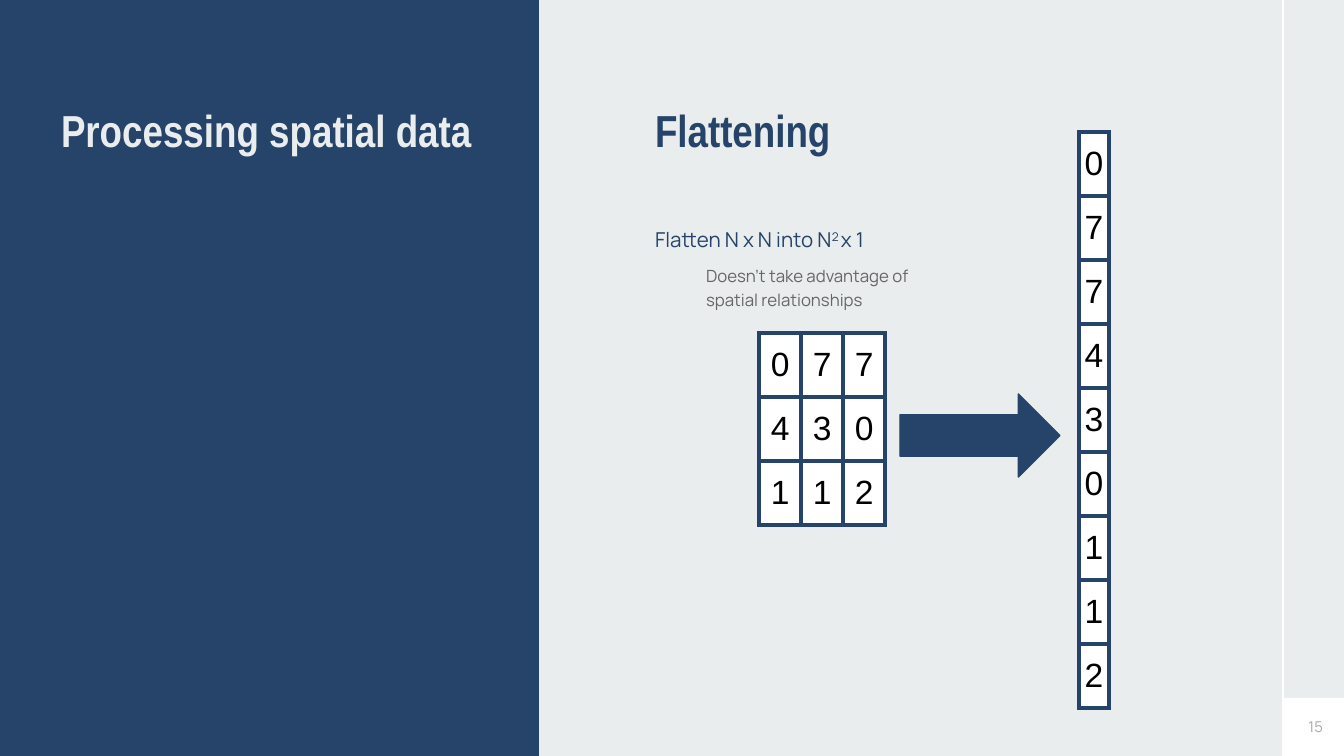
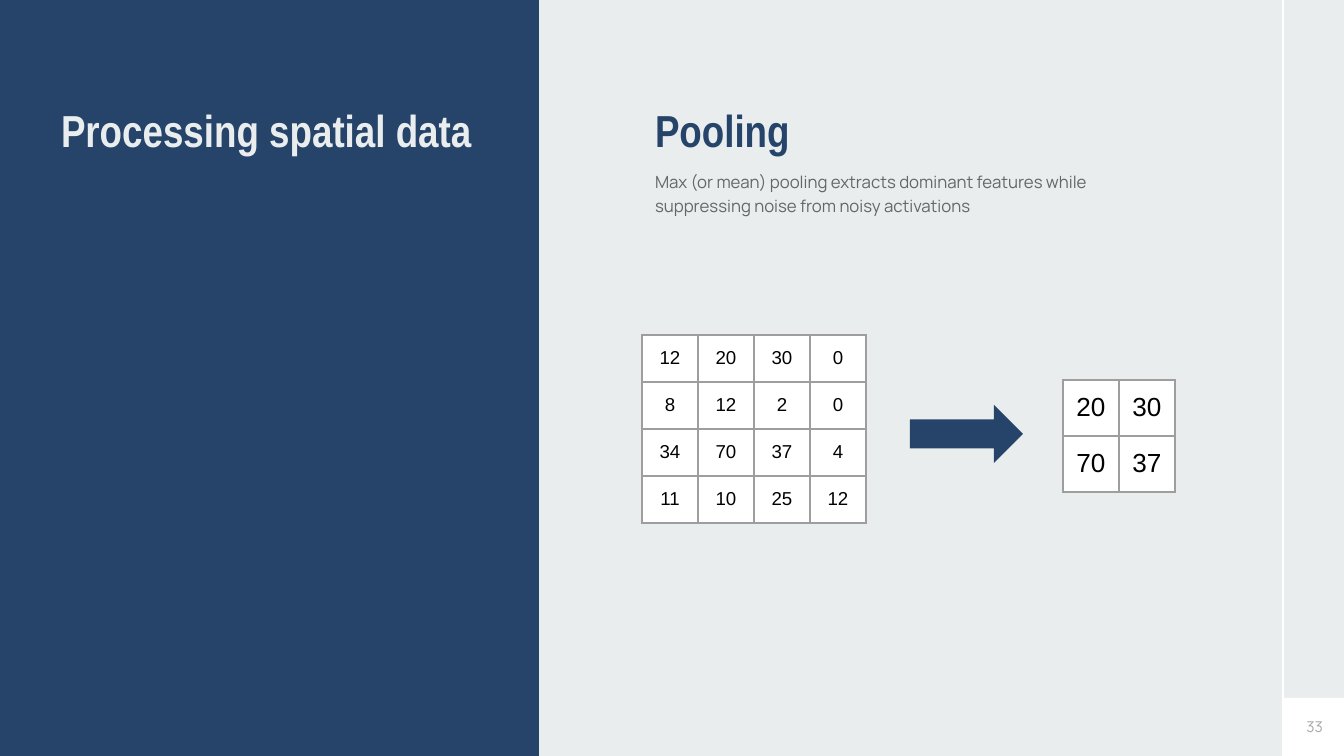
"""Build two slides on processing spatial data: flattening and pooling."""
import pptx
import pptx.dml.color
import pptx.enum.shapes
import pptx.enum.text
import pptx.oxml
import pptx.oxml.ns
import pptx.util
from lxml import etree

NAVY, PALE, WHITE, BLACK = "264369", "E9EDEE", "FFFFFF", "000000"
GREY, NUMBER_GREY, GRID_GREY = "666666", "A8A8A8", "9E9E9E"
WIDTH, HEIGHT = 1344, 756
EMU_PER_PX = 914400 / 134.4
INSET = 13
SUPERSCRIPT = "30000"
RECTANGLE = pptx.enum.shapes.MSO_SHAPE.RECTANGLE
ARROW = pptx.enum.shapes.MSO_SHAPE.RIGHT_ARROW
ALIGN = pptx.enum.text.PP_ALIGN
ANCHOR = pptx.enum.text.MSO_ANCHOR

TITLE = {"font": {"name": "Arial Narrow", "size": 24, "bold": True, "color": NAVY}, "spacing": {}}
SECTION = {"font": {**TITLE["font"], "color": PALE}, "spacing": {}}
BODY = {
    "font": {"name": "Manrope", "size": 9, "bold": False, "color": GREY},
    "spacing": {"line_spacing": 1.15, "space_after": pptx.util.Pt(16)},
}
LEAD = {"font": {**BODY["font"], "size": 11, "color": NAVY}, "spacing": BODY["spacing"]}
NUMBER = {
    "font": {"name": "Manrope", "size": 8, "color": NUMBER_GREY},
    "spacing": {"alignment": ALIGN.RIGHT},
}

SECTION_TEXT = ("Processing spatial data", (48, 90, 472, 540), SECTION)
HEADING_PLACE = (642, 90, 582, 83)
NUMBER_PLACE = (1255, 698, 81, 58)

MATRIX = [[0, 7, 7], [4, 3, 0], [1, 1, 2]]
ACTIVATIONS = [[12, 20, 30, 0], [8, 12, 2, 0], [34, 70, 37, 4], [11, 10, 25, 12]]
NAVY_GRID = {"size": 18, "border": NAVY, "weight": 2.25, "row": 64}
GREY_GRID = {"border": GRID_GREY, "weight": 0.75, "column": 56, "inset": INSET}


def flatten(rows):
    return [[value] for row in rows for value in row]


def max_pool(rows, step=2):
    return [
        [
            max(value for row in rows[top:top + step] for value in row[left:left + step])
            for left in range(0, len(rows[0]), step)
        ]
        for top in range(0, len(rows), step)
    ]


PAGES = [
    {
        "number": "15",
        "texts": [
            ("Flattening", HEADING_PLACE, TITLE),
            ([("Flatten N x N into N", None), ("2 ", SUPERSCRIPT), ("x 1", None)],
             (642, 210, 349, 50), LEAD),
            ("Doesn’t take advantage of spatial relationships", (693, 250, 255, 108), BODY),
        ],
        "grids": [
            (MATRIX, (759, 333), {**NAVY_GRID, "column": 42, "inset": 12}),
            (flatten(MATRIX), (1079, 132), {**NAVY_GRID, "column": 30, "inset": 0}),
        ],
        "arrow": ((900, 394, 160, 83), NAVY),
    },
    {
        "number": "33",
        "texts": [
            ("Pooling", HEADING_PLACE, TITLE),
            ("Max (or mean) pooling extracts dominant features while suppressing noise "
             "from noisy activations", (642, 156, 534, 74), BODY),
        ],
        "grids": [
            (ACTIVATIONS, (642, 335), {**GREY_GRID, "size": 10, "row": 47}),
            (max_pool(ACTIVATIONS), (1063, 380), {**GREY_GRID, "size": 14, "row": 56}),
        ],
        "arrow": ((910, 405, 113, 58), None),
    },
]


def px(*lengths):
    return [pptx.util.Emu(round(length * EMU_PER_PX)) for length in lengths]


def color(value):
    return pptx.dml.color.RGBColor.from_string(value)


def set_all(target, values):
    for name, value in values.items():
        setattr(target, name, value)


def format_font(font, style):
    set_all(font, {key: value for key, value in style.items() if key not in ("size", "color")})
    font.size = pptx.util.Pt(style["size"])
    font.color.rgb = color(style["color"])


def write(box, content, place, style, anchor=ANCHOR.TOP):
    set_all(box, dict(zip(("left", "top", "width", "height"), px(*place))))
    frame = box.text_frame
    set_all(frame, {"word_wrap": True, "auto_size": pptx.enum.text.MSO_AUTO_SIZE.NONE,
                    "vertical_anchor": anchor})
    for side in ("left", "top", "right", "bottom"):
        setattr(frame, f"margin_{side}", px(INSET)[0])
    para = frame.paragraphs[0]
    set_all(para, {"alignment": ALIGN.LEFT, "space_before": pptx.util.Pt(0), **style["spacing"]})
    properties = para._p.get_or_add_pPr()
    properties.set("marL", "0")
    properties.set("indent", "0")
    etree.SubElement(properties, pptx.oxml.ns.qn("a:buNone"))
    spans = [(content, None)] if isinstance(content, str) else content
    for text, baseline in spans:
        span = para.add_run()
        span.text = text
        format_font(span.font, style["font"])
        if baseline:
            span._r.get_or_add_rPr().set("baseline", baseline)


def add_block(page, kind, place, fill, line=None):
    block = page.shapes.add_shape(kind, *px(*place))
    block.shadow.inherit = False
    block.fill.solid()
    block.fill.fore_color.rgb = color(fill)
    if line:
        block.line.color.rgb = color(line)
        block.line.width = pptx.util.Pt(0.75)
    else:
        block.line.fill.background()
    return block


def add_border(cell, border, weight):
    properties = cell._tc.get_or_add_tcPr()
    for side in "LRTB":
        properties.append(pptx.oxml.parse_xml(
            f'<a:ln{side} {pptx.oxml.ns.nsdecls("a")} w="{pptx.util.Pt(weight)}">'
            f'<a:solidFill><a:srgbClr val="{border}"/></a:solidFill></a:ln{side}>'))


def add_grid(page, rows, corner, look):
    size = (look["column"] * len(rows[0]), look["row"] * len(rows))
    table = page.shapes.add_table(len(rows), len(rows[0]), *px(*corner, *size)).table
    set_all(table, {"first_row": False, "horz_banding": False})
    for column in table.columns:
        column.width = px(look["column"])[0]
    for row, values in zip(table.rows, rows):
        row.height = px(look["row"])[0]
        for cell, value in zip(row.cells, values):
            left, top = px(look["inset"], INSET)
            set_all(cell, {"text": str(value), "margin_left": left, "margin_right": left,
                           "margin_top": top, "margin_bottom": top})
            add_border(cell, look["border"], look["weight"])
            cell.fill.solid()
            cell.fill.fore_color.rgb = color(WHITE)
            para = cell.text_frame.paragraphs[0]
            para.alignment = ALIGN.CENTER
            format_font(para.runs[0].font,
                        {"name": "Arial", "size": look["size"], "color": BLACK})


def add_master_frame(deck, page):
    master = deck.slide_master
    master.background.fill.solid()
    master.background.fill.fore_color.rgb = color(PALE)
    band = add_block(page, RECTANGLE, (-7, -4, 546, 771), NAVY)
    corner = add_block(page, RECTANGLE, (1283, 698, 61, 58), WHITE)
    rule = page.shapes.add_connector(
        pptx.enum.shapes.MSO_CONNECTOR.STRAIGHT, *px(1283, HEIGHT, 1283, 0))
    rule.line.color.rgb = color(WHITE)
    rule.line.width = pptx.util.Pt(0.75)
    etree.SubElement(rule._element.spPr, pptx.oxml.ns.qn("a:effectLst"))
    for part in (band, corner, rule):
        master.shapes.element.append(part.element)


def add_page(deck, content):
    page = deck.slides.add_slide(deck.slide_layouts.get_by_name("Comparison"))
    boxes = list(page.placeholders)
    texts = [SECTION_TEXT, *content["texts"]]
    for box, text in zip(boxes, texts):
        write(box, *text)
    for box in boxes[len(texts):]:
        box.element.getparent().remove(box.element)
    number_box = page.shapes.add_textbox(*px(*NUMBER_PLACE))
    write(number_box, content["number"], NUMBER_PLACE, NUMBER, ANCHOR.MIDDLE)
    for grid in content["grids"]:
        add_grid(page, *grid)
    place, line = content["arrow"]
    add_block(page, ARROW, place, NAVY, line)
    return page


def main():
    deck = pptx.Presentation()
    deck.slide_width, deck.slide_height = px(WIDTH, HEIGHT)
    pages = [add_page(deck, content) for content in PAGES]
    add_master_frame(deck, pages[0])
    deck.save("out.pptx")


if __name__ == "__main__":
    main()
